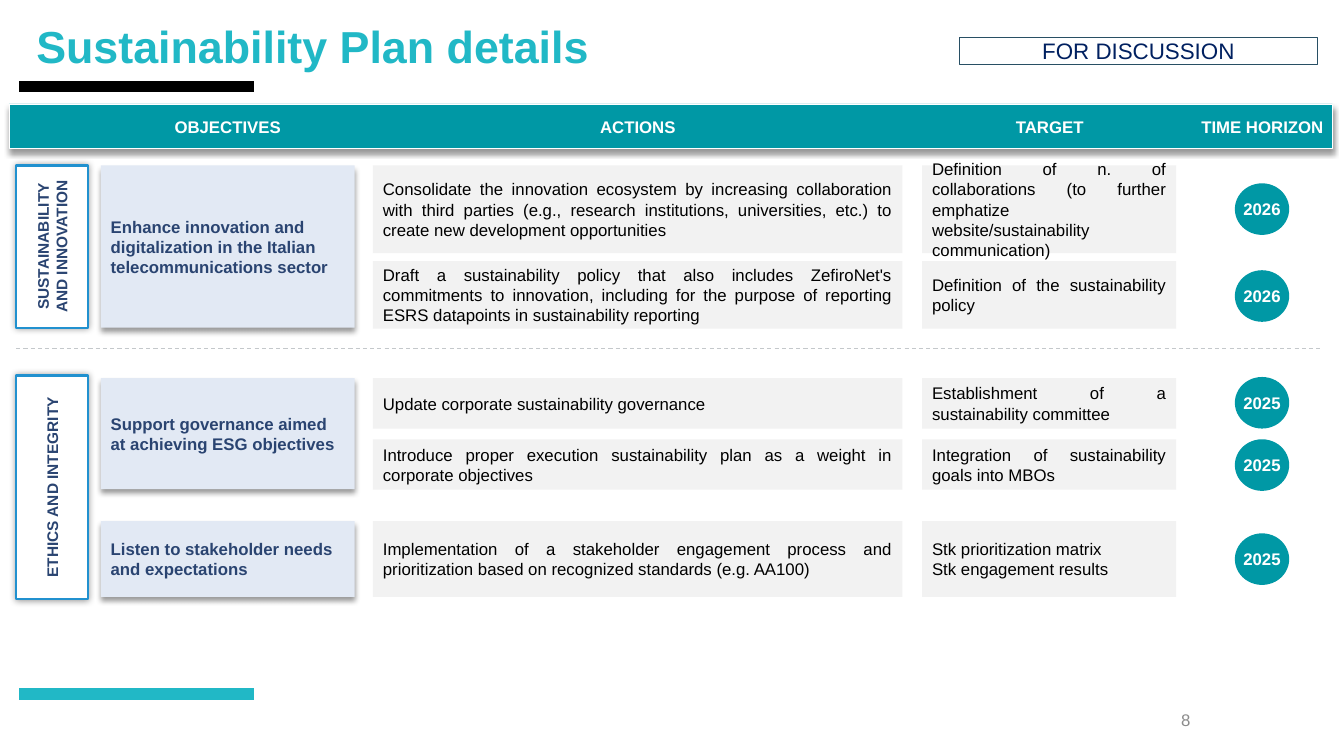
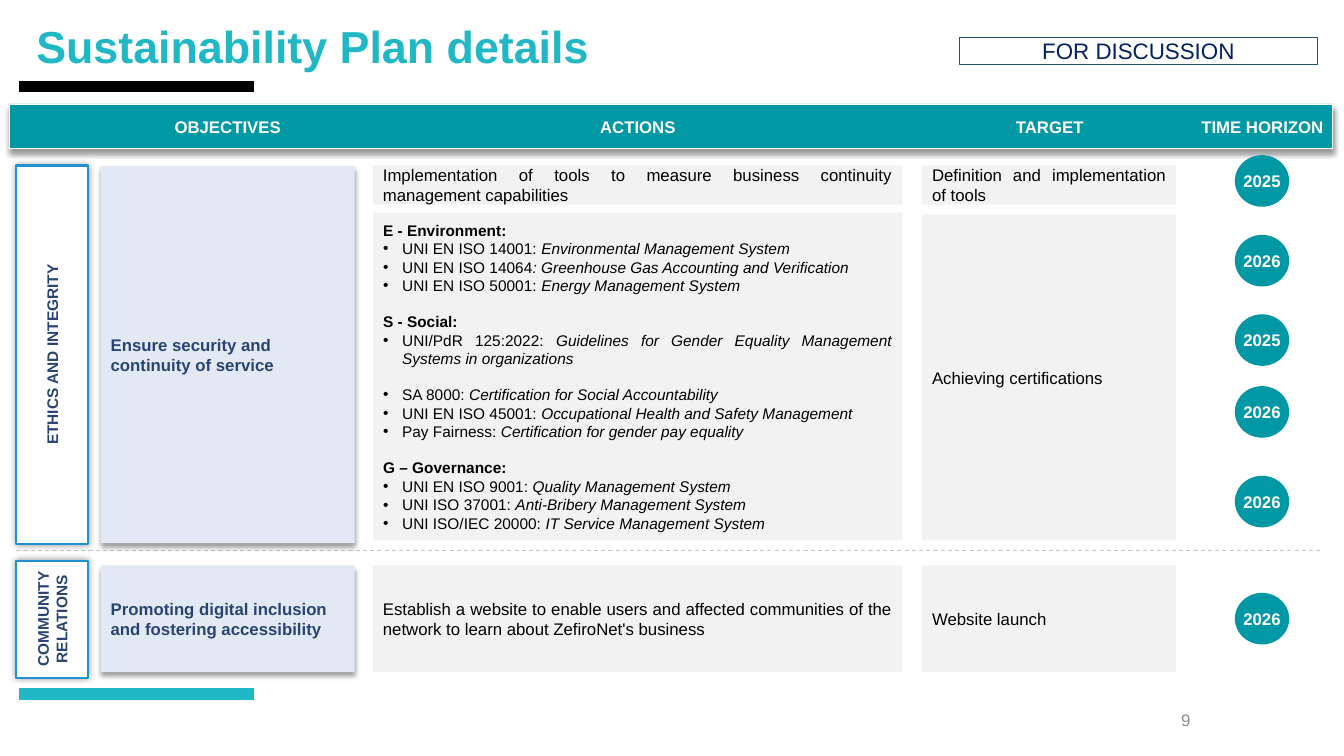
from dataclasses import dataclass
from typing import NamedTuple, Optional

import lxml.etree
import pptx
import pptx.dml.color
import pptx.enum.dml
import pptx.enum.shapes
import pptx.enum.text
import pptx.oxml.ns
import pptx.shapes.base
import pptx.slide
import pptx.text.text
import pptx.util

Cm = pptx.util.Cm
Pt = pptx.util.Pt
RGBColor = pptx.dml.color.RGBColor
Align = pptx.enum.text.PP_ALIGN
Anchor = pptx.enum.text.MSO_ANCHOR
Preset = pptx.enum.shapes.MSO_SHAPE
qn = pptx.oxml.ns.qn

FONT = "Arial"
TURQUOISE = RGBColor(0x21, 0xB8, 0xC6)
TEAL = RGBColor(0x00, 0x98, 0xA5)
NAVY = RGBColor(0x00, 0x20, 0x60)
INDIGO = RGBColor(0x2A, 0x44, 0x71)
SLATE = RGBColor(0x28, 0x4F, 0x64)
BLUE = RGBColor(0x21, 0x91, 0xCF)
PALE_BLUE = RGBColor(0xE2, 0xE9, 0xF4)
PALE_GREY = RGBColor(0xF2, 0xF2, 0xF2)
DASH_GREY = RGBColor(0xC4, 0xC8, 0xCB)
NUMBER_GREY = RGBColor(0x8C, 0x8C, 0x8C)
BLACK = RGBColor(0, 0, 0)
WHITE = RGBColor(0xFF, 0xFF, 0xFF)

TITLE = "Sustainability Plan details"
LIST_INDENT = Cm(0.48)
LIST_GAP = Pt(12.6)


class Box(NamedTuple):
    left: float
    top: float
    width: float
    height: float

    def lengths(self) -> list[pptx.util.Length]:
        return [Cm(value) for value in self]


class Column(NamedTuple):
    left: float
    width: float

    def box(self, top: float, height: float) -> Box:
        return Box(self.left, top, self.width, height)


class Shadow(NamedTuple):
    blur: float
    distance: float


@dataclass(frozen=True)
class TextStyle:
    size: float
    color: RGBColor
    bold: bool = False
    align: Align = Align.LEFT


@dataclass(frozen=True)
class Card:
    column: Column
    top: float
    height: float
    lines: tuple[str, ...]


class Category(NamedTuple):
    top: float
    height: float
    label: str


class Badge(NamedTuple):
    top: float
    year: str


class Certification(NamedTuple):
    code: str
    scheme: str = ""
    gap: bool = False


@dataclass(frozen=True)
class PlanPage:
    number: str
    divider: float
    categories: tuple[Category, ...]
    cards: tuple[Card, ...]
    badges: tuple[Badge, ...]
    certifications: tuple[Certification, ...] = ()


CATEGORIES = Column(0.41, 1.8)
OBJECTIVES = Column(2.54, 6.4)
ACTIONS = Column(9.4, 13.34)
TARGETS = Column(23.24, 6.4)
HORIZON = Column(31.12, 1.37)

HEADINGS = (
    ("OBJECTIVES", Column(3.91, 3.66)),
    ("ACTIONS", Column(11.68, 8.79)),
    ("TARGET", Column(24.64, 3.63)),
    ("TIME HORIZON", Column(30, 3.63)),
)

CARD_SHADOW = Shadow(4, 3)
CATEGORY_SHADOW = Shadow(5, 0)
HEADING_STYLE = TextStyle(12, WHITE, True, Align.CENTER)
CATEGORY_STYLE = TextStyle(11, INDIGO, True, Align.CENTER)
OBJECTIVE_STYLE = TextStyle(12, INDIGO, True)
DETAIL_STYLE = TextStyle(12, BLACK, False, Align.JUSTIFY)
CERTIFICATION_STYLE = TextStyle(11, BLACK, False, Align.JUSTIFY)

PAGES = (
    PlanPage(
        "8", 8.79,
        (Category(4.17, 4.09, "SUSTAINABILITY AND INNOVATION"),
         Category(9.46, 5.64, "ETHICS AND INTEGRITY")),
        (Card(OBJECTIVES, 4.17, 4.09, ("Enhance innovation and digitalization in the Italian telecommunications sector",)),
         Card(ACTIONS, 4.17, 2.21, ("Consolidate the innovation ecosystem by increasing collaboration with third parties (e.g., research institutions, universities, etc.) to create new development opportunities",)),
         Card(TARGETS, 4.17, 2.21, ("Definition of n. of collaborations (to further emphatize website/sustainability communication)",)),
         Card(ACTIONS, 6.58, 1.7, ("Draft a sustainability policy that also includes ZefiroNet's commitments to innovation, including for the purpose of reporting ESRS datapoints in sustainability reporting",)),
         Card(TARGETS, 6.58, 1.7, ("Definition of the sustainability policy",)),
         Card(OBJECTIVES, 9.53, 2.8, ("Support governance aimed at achieving ESG objectives",)),
         Card(ACTIONS, 9.53, 1.27, ("Update corporate sustainability governance",)),
         Card(TARGETS, 9.53, 1.27, ("Establishment of a sustainability committee",)),
         Card(ACTIONS, 11.07, 1.27, ("Introduce proper execution sustainability plan as a weight in corporate objectives",)),
         Card(TARGETS, 11.07, 1.27, ("Integration of sustainability goals into MBOs",)),
         Card(OBJECTIVES, 13.13, 1.91, ("Listen to stakeholder needs and expectations",)),
         Card(ACTIONS, 13.13, 1.91, ("Implementation of a stakeholder engagement process and prioritization based on recognized standards (e.g. AA100)",)),
         Card(TARGETS, 13.13, 1.91, ("Stk prioritization matrix", "Stk engagement results"))),
        (Badge(4.62, "2026"), Badge(6.81, "2026"), Badge(9.5, "2025"),
         Badge(11.07, "2025"), Badge(13.44, "2025")),
    ),
    PlanPage(
        "9", 13.87,
        (Category(4.17, 9.53, "ETHICS AND INTEGRITY"),
         Category(14.13, 2.95, "COMMUNITY RELATIONS")),
        (Card(OBJECTIVES, 4.19, 9.5, ("Ensure security and continuity of service",)),
         Card(ACTIONS, 4.17, 0.99, ("Implementation of tools to measure business continuity management capabilities",)),
         Card(TARGETS, 4.17, 0.99, ("Definition and implementation of tools",)),
         Card(TARGETS, 5.41, 8.2, ("Achieving certifications",)),
         Card(OBJECTIVES, 14.25, 2.69, ("Promoting digital inclusion and fostering accessibility",)),
         Card(ACTIONS, 14.25, 2.69, ("Establish a website to enable users and affected communities of the network to learn about ZefiroNet's business",)),
         Card(TARGETS, 14.25, 2.69, ("Website launch",))),
        (Badge(3.91, "2025"), Badge(5.92, "2026"), Badge(7.92, "2025"),
         Badge(9.73, "2026"), Badge(11.99, "2026"), Badge(14.94, "2026")),
        (Certification("E - Environment:"),
         Certification("UNI EN ISO 14001: ", "Environmental Management System"),
         Certification("UNI EN ISO 14064", ": Greenhouse Gas Accounting and Verification"),
         Certification("UNI EN ISO 50001: ", "Energy Management System"),
         Certification("S - Social:", gap=True),
         Certification("UNI/PdR 125:2022: ", "Guidelines for Gender Equality Management Systems in organizations"),
         Certification("SA 8000: ", "Certification for Social Accountability", True),
         Certification("UNI EN ISO 45001: ", "Occupational Health and Safety Management"),
         Certification("Pay Fairness: ", "Certification for gender pay equality"),
         Certification("G – Governance:", gap=True),
         Certification("UNI EN ISO 9001: ", "Quality Management System"),
         Certification("UNI ISO 37001: ", "Anti-Bribery Management System"),
         Certification("UNI ISO/IEC 20000: ", "IT Service Management System")),
    ),
)


def add_run(paragraph: pptx.text.text._Paragraph, text: str, style: TextStyle,
            bold: bool = False, italic: bool = False) -> None:
    run = paragraph.add_run()
    run.text = text
    run.font.name = FONT
    run.font.size = Pt(style.size)
    run.font.color.rgb = style.color
    run.font.bold = style.bold or bold
    run.font.italic = italic


def next_paragraph(frame: pptx.text.text.TextFrame, index: int) -> pptx.text.text._Paragraph:
    return frame.add_paragraph() if index else frame.paragraphs[0]


def write(frame: pptx.text.text.TextFrame, lines: tuple[str, ...], style: TextStyle,
          wrap: bool = True) -> None:
    frame.word_wrap = wrap
    frame.auto_size = pptx.enum.text.MSO_AUTO_SIZE.NONE
    frame.vertical_anchor = Anchor.MIDDLE
    for index, line in enumerate(lines):
        paragraph = next_paragraph(frame, index)
        paragraph.alignment = style.align
        add_run(paragraph, line, style)


def add_panel(slide: pptx.slide.Slide, box: Box, fill: Optional[RGBColor] = None,
              outline: Optional[RGBColor] = None, weight: float = 0.5,
              shadow: Optional[Shadow] = None,
              preset: Preset = Preset.RECTANGLE) -> pptx.shapes.base.BaseShape:
    panel = slide.shapes.add_shape(preset, *box.lengths())
    if fill is None:
        panel.fill.background()
    else:
        panel.fill.solid()
        panel.fill.fore_color.rgb = fill
    if outline is None:
        panel.line.fill.background()
    else:
        panel.line.color.rgb = outline
        panel.line.width = Pt(weight)
    panel.shadow.inherit = False
    if shadow:
        effects = panel._element.spPr.find(qn("a:effectLst"))
        outer = lxml.etree.SubElement(
            effects, qn("a:outerShdw"), blurRad=str(int(Pt(shadow.blur))),
            dist=str(int(Pt(shadow.distance))), dir="5400000", algn="ctr", rotWithShape="0")
        tint = lxml.etree.SubElement(outer, qn("a:srgbClr"), val=str(BLACK))
        lxml.etree.SubElement(tint, qn("a:alpha"), val="40000")
    return panel


def add_rule(slide: pptx.slide.Slide, left: float, right: float, top: float,
             color: RGBColor, weight: float, dashed: bool = False) -> None:
    rule = slide.shapes.add_connector(pptx.enum.shapes.MSO_CONNECTOR.STRAIGHT,
                                      Cm(left), Cm(top), Cm(right), Cm(top))
    rule.line.color.rgb = color
    rule.line.width = Pt(weight)
    if dashed:
        rule.line.dash_style = pptx.enum.dml.MSO_LINE.DASH
    lxml.etree.SubElement(rule._element.spPr, qn("a:effectLst"))


def add_label(slide: pptx.slide.Slide, box: Box, text: str, style: TextStyle) -> None:
    write(slide.shapes.add_textbox(*box.lengths()).text_frame, (text,), style)


def place(placeholder: pptx.shapes.base.BaseShape, box: Box) -> None:
    placeholder.left, placeholder.top, placeholder.width, placeholder.height = box.lengths()


def add_frame(slide: pptx.slide.Slide, number: str) -> None:
    title = slide.shapes.title
    place(title, Box(0.66, 0.28, 15.54, 1.93))
    write(title.text_frame, (TITLE,), TextStyle(32, TURQUOISE, True))
    title.text_frame.paragraphs[0].line_spacing = 0.9
    add_rule(slide, 0.48, 6.4, 2.18, BLACK, 8)
    add_rule(slide, 0.48, 6.4, 17.49, TURQUOISE, 8)
    add_label(slide, Box(22.63, 17.63, 7.62, 1.02), number,
              TextStyle(12, NUMBER_GREY, align=Align.RIGHT))
    status = add_panel(slide, Box(24.18, 0.94, 9.02, 0.69), outline=SLATE, weight=1)
    write(status.text_frame, ("FOR DISCUSSION",), TextStyle(16, NAVY, align=Align.CENTER))
    add_panel(slide, Box(0.23, 2.62, 33.35, 1.12), TEAL, WHITE, shadow=CARD_SHADOW)
    for heading, column in HEADINGS:
        add_label(slide, column.box(2.82, 0.76), heading, HEADING_STYLE)


def add_category(slide: pptx.slide.Slide, category: Category) -> None:
    shift = (category.height - CATEGORIES.width) / 2
    box = Box(CATEGORIES.left - shift, category.top + shift, category.height, CATEGORIES.width)
    panel = add_panel(slide, box, WHITE, BLUE, 1.5, CATEGORY_SHADOW)
    panel.rotation = 270
    write(panel.text_frame, (category.label,), CATEGORY_STYLE)


def add_card(slide: pptx.slide.Slide, card: Card) -> None:
    is_objective = card.column == OBJECTIVES
    panel = add_panel(slide, card.column.box(card.top, card.height),
                      PALE_BLUE if is_objective else PALE_GREY,
                      shadow=CARD_SHADOW if is_objective else None)
    write(panel.text_frame, card.lines, OBJECTIVE_STYLE if is_objective else DETAIL_STYLE)


def add_badge(slide: pptx.slide.Slide, badge: Badge) -> None:
    circle = add_panel(slide, HORIZON.box(badge.top, 1.3), TEAL,
                       preset=Preset.FLOWCHART_CONNECTOR)
    write(circle.text_frame, (badge.year,), HEADING_STYLE, wrap=False)


def fill_certifications(body: pptx.shapes.base.BaseShape,
                        certifications: tuple[Certification, ...]) -> None:
    place(body, ACTIONS.box(5.36, 8.26))
    body.fill.solid()
    body.fill.fore_color.rgb = PALE_GREY
    write(body.text_frame, (), CERTIFICATION_STYLE)
    for index, (code, scheme, gap) in enumerate(certifications):
        paragraph = next_paragraph(body.text_frame, index)
        paragraph.alignment = CERTIFICATION_STYLE.align
        paragraph.space_before = LIST_GAP if gap else Pt(0)
        properties = paragraph._p.get_or_add_pPr()
        indent = int(LIST_INDENT) if scheme else 0
        properties.set("marL", str(indent))
        properties.set("indent", str(-indent))
        if scheme:
            lxml.etree.SubElement(properties, qn("a:buFont"), typeface=FONT)
            lxml.etree.SubElement(properties, qn("a:buChar"), char="•")
        else:
            lxml.etree.SubElement(properties, qn("a:buNone"))
        add_run(paragraph, code, CERTIFICATION_STYLE, bold=not scheme)
        if scheme:
            add_run(paragraph, scheme, CERTIFICATION_STYLE, italic=True)


def add_page(deck: pptx.presentation.Presentation, page: PlanPage) -> None:
    layout = deck.slide_layouts[1 if page.certifications else 5]
    slide = deck.slides.add_slide(layout)
    add_frame(slide, page.number)
    add_rule(slide, 0.41, 33.3, page.divider, DASH_GREY, 0.75, dashed=True)
    for category in page.categories:
        add_category(slide, category)
    for card in page.cards:
        add_card(slide, card)
    for badge in page.badges:
        add_badge(slide, badge)
    if page.certifications:
        fill_certifications(slide.placeholders[1], page.certifications)


def main() -> None:
    deck = pptx.Presentation()
    deck.slide_width, deck.slide_height = Cm(33.87), Cm(19.05)
    for page in PAGES:
        add_page(deck, page)
    deck.save("out.pptx")


if __name__ == "__main__":
    main()
